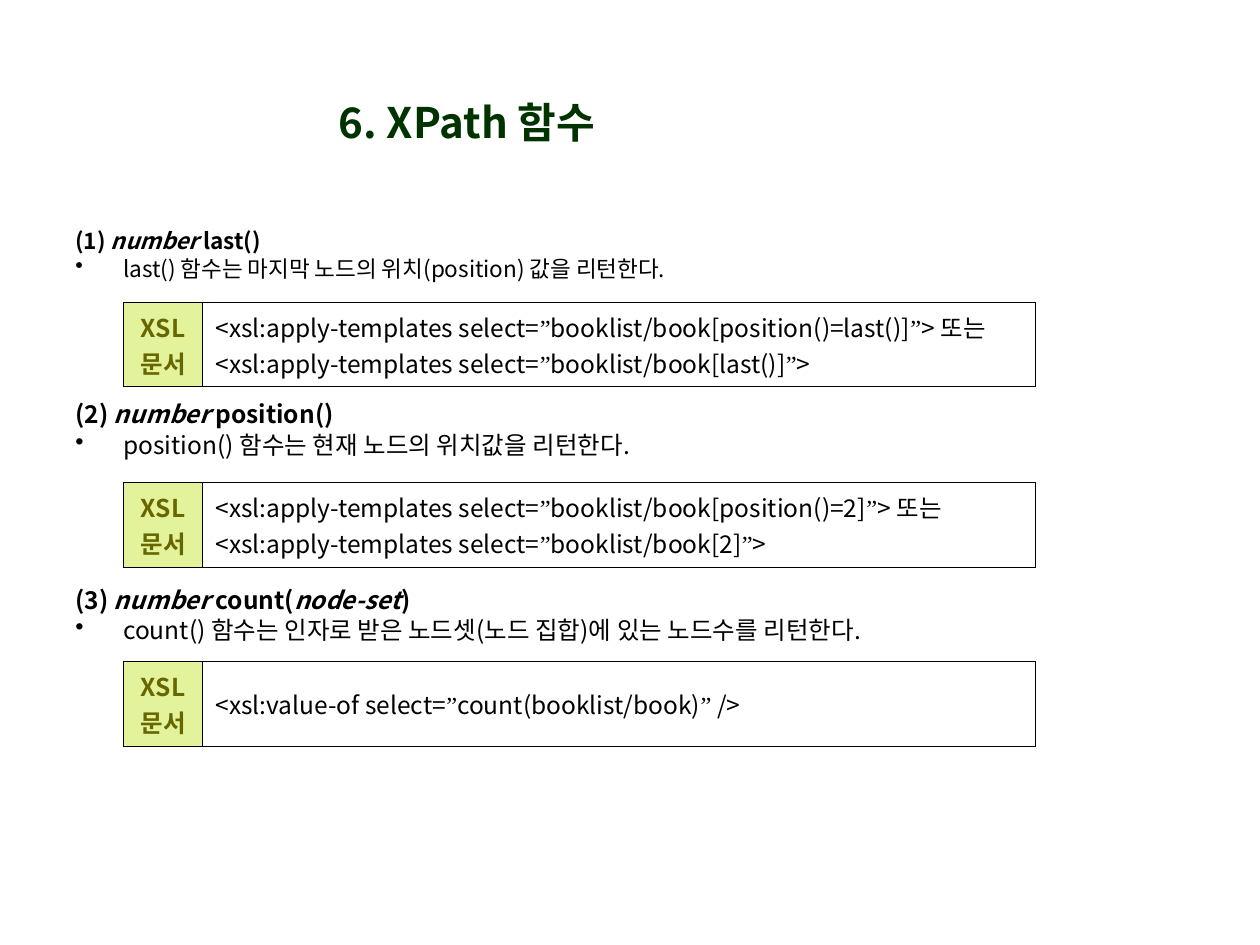
from dataclasses import dataclass

from lxml import etree
from pptx import Presentation
from pptx import util as u
from pptx.dml.color import RGBColor
from pptx.enum import text as t
from pptx.oxml.ns import qn

COLORS = {
    "title": "003300",
    "body": "000000",
    "label": "686600",
    "label_fill": "E2F39B",
    "border": "000000",
}
SANS, SERIF = "Noto Sans CJK KR", "Times New Roman"
TABLE_LEFT, ROW_HEIGHT = 0.98, 0.67
COLUMN_WIDTHS = (0.63, 6.61)
INDENT = 0.38


@dataclass
class Section:
    heading: str
    description: str
    code: list[str]
    text_top: float
    text_height: float
    table_top: float
    size: float = 14


# In headings, the parts between bars are italic.
SECTIONS = [
    Section(
        "(1) |number| last()",
        "last() 함수는 마지막 노드의 위치(position) 값을 리턴한다.",
        ["<xsl:apply-templates select=”booklist/book[position()=last()]”> 또는",
         "<xsl:apply-templates select=”booklist/book[last()]”>"],
        1.75, 0.58, 2.4, 12.9,
    ),
    Section(
        "(2) |number| position()",
        "position() 함수는 현재 노드의 위치값을 리턴한다.",
        ["<xsl:apply-templates select=”booklist/book[position()=2]”> 또는",
         "<xsl:apply-templates select=”booklist/book[2]”>"],
        3.12, 0.66, 3.83,
    ),
    Section(
        "(3) |number| count(|node-set|)",
        "count() 함수는 인자로 받은 노드셋(노드 집합)에 있는 노드수를 리턴한다.",
        ["<xsl:value-of select=”count(booklist/book)” />"],
        4.59, 0.66, 5.25,
    ),
]


def add_text(paragraph, text: str, *, size: float = 14, color: str = "body",
             bold: bool = False, italic: bool = False, font: str = SANS) -> None:
    run = paragraph.add_run()
    run.text = text
    run.font.size = u.Pt(size)
    run.font.bold = bold
    run.font.italic = italic
    run.font.name = font
    run.font.color.rgb = RGBColor.from_string(COLORS[color])
    properties = run.font._element
    etree.SubElement(properties, qn("a:ea"), typeface=font)


def next_paragraph(frame, index: int):
    return frame.add_paragraph() if index else frame.paragraphs[0]


def set_hanging_indent(paragraph, bullet: str = "") -> None:
    properties = paragraph._p.get_or_add_pPr()
    properties.set("marL", str(u.Inches(INDENT)))
    properties.set("indent", str(-u.Inches(INDENT)))
    if bullet:
        color = etree.SubElement(properties, qn("a:buClr"))
        etree.SubElement(color, qn("a:srgbClr"), val=COLORS["body"])
        etree.SubElement(properties, qn("a:buChar"), char=bullet)


def set_borders(cell, width: float = 0.45) -> None:
    properties = cell._tc.get_or_add_tcPr()
    for position, side in enumerate(("a:lnL", "a:lnR", "a:lnT", "a:lnB")):
        line = etree.Element(qn(side), w=str(u.Pt(width)))
        fill = etree.SubElement(line, qn("a:solidFill"))
        etree.SubElement(fill, qn("a:srgbClr"), val=COLORS["border"])
        properties.insert(position, line)


def add_title(slide, text: str) -> None:
    title = slide.shapes.title
    title.left, title.top = u.Inches(1.69), u.Inches(0.34)
    title.width, title.height = u.Inches(4.03), u.Inches(1.25)
    frame = title.text_frame
    frame.vertical_anchor = t.MSO_ANCHOR.MIDDLE
    paragraph = frame.paragraphs[0]
    paragraph.alignment = t.PP_ALIGN.CENTER
    add_text(paragraph, text, size=24, color="title", bold=True)


def add_description(slide, section: Section) -> None:
    box = slide.shapes.add_textbox(u.Inches(0.5), u.Inches(section.text_top),
                                   u.Inches(9.07), u.Inches(section.text_height))
    frame = box.text_frame
    frame.word_wrap = True
    heading = frame.paragraphs[0]
    set_hanging_indent(heading)
    for index, part in enumerate(section.heading.split("|")):
        add_text(heading, part, size=section.size, bold=True, italic=index % 2 == 1)
    description = frame.add_paragraph()
    set_hanging_indent(description, "•")
    description.space_before = u.Pt(0.5)
    add_text(description, section.description, size=section.size)


def add_code_table(slide, section: Section) -> None:
    shape = slide.shapes.add_table(1, 2, u.Inches(TABLE_LEFT), u.Inches(section.table_top),
                                   u.Inches(sum(COLUMN_WIDTHS)), u.Inches(ROW_HEIGHT))
    table = shape.table
    table.first_row = table.horz_banding = False
    for column, width in zip(table.columns, COLUMN_WIDTHS):
        column.width = u.Inches(width)
    label, code = table.cell(0, 0), table.cell(0, 1)
    label.fill.solid()
    label.fill.fore_color.rgb = RGBColor.from_string(COLORS["label_fill"])
    code.fill.background()
    for cell in (label, code):
        cell.vertical_anchor = t.MSO_ANCHOR.MIDDLE
        set_borders(cell)
    for index, word in enumerate(("XSL", "문서")):
        paragraph = next_paragraph(label.text_frame, index)
        paragraph.alignment = t.PP_ALIGN.CENTER
        add_text(paragraph, word, color="label", bold=True)
    for index, line in enumerate(section.code):
        paragraph = next_paragraph(code.text_frame, index)
        set_hanging_indent(paragraph)
        for position, part in enumerate(line.split("”")):
            if position:
                add_text(paragraph, "”", font=SERIF)
            add_text(paragraph, part)


def main() -> None:
    presentation = Presentation()
    presentation.slide_width, presentation.slide_height = u.Inches(10), u.Inches(7.5)
    slide = presentation.slides.add_slide(presentation.slide_layouts[5])
    add_title(slide, "6. XPath 함수")
    for section in SECTIONS:
        add_description(slide, section)
        add_code_table(slide, section)
    presentation.save("out.pptx")


if __name__ == "__main__":
    main()
